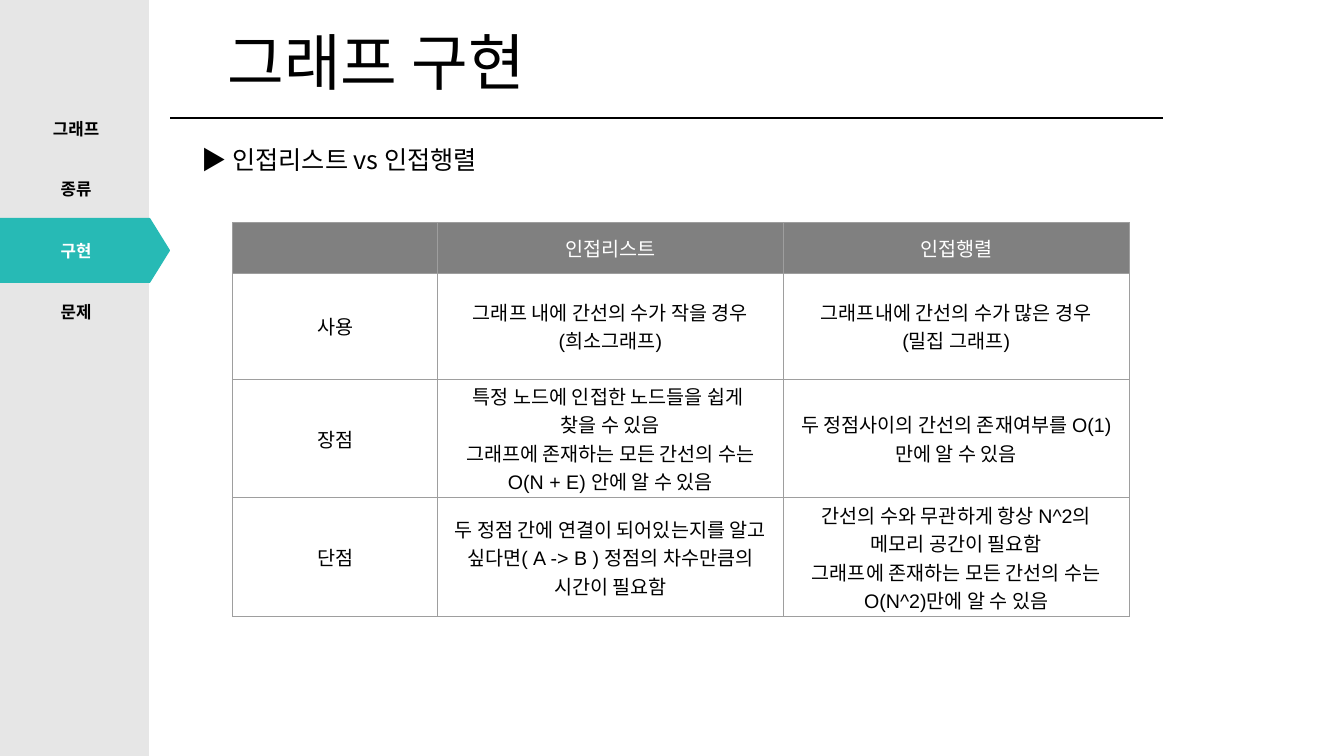
from dataclasses import dataclass

from lxml import etree
from pptx import Presentation
from pptx import util as u
from pptx.dml.color import RGBColor
from pptx.enum import shapes, text
from pptx.oxml import ns


@dataclass(frozen=True)
class Theme:
    sans: str = "Arial"
    cjk: str = "Noto Sans CJK KR"
    ink: str = "000000"
    paper: str = "FFFFFF"
    panel: str = "E6E6E6"
    accent: str = "27BAB5"
    header: str = "808080"
    border: str = "9E9E9E"
    title: float = 44
    subtitle: float = 18
    body: float = 14
    menu: float = 12
    stroke: float = 1
    cell_stroke: float = 0.75
    line_spacing: float = 0.9


@dataclass(frozen=True)
class Box:
    col: float
    row: float
    cols: float
    rows: float


@dataclass(frozen=True)
class Style:
    size: float
    color: str = Theme.ink
    font: str = Theme.sans
    bold: bool = False
    align: text.PP_ALIGN = text.PP_ALIGN.LEFT


@dataclass(frozen=True)
class MenuItem:
    label: str
    row: float
    color: str = Theme.ink


theme = Theme()
prs = Presentation()
prs.slide_width, prs.slide_height = u.Inches(13.33), u.Inches(7.5)
s = prs.slides.add_slide(prs.slide_layouts[6])


def x(cols: float) -> int:
    return round(prs.slide_width * cols / 100)


def y(rows: float) -> int:
    return round(prs.slide_height * rows / 100)


def place(box: Box) -> tuple[int, int, int, int]:
    return x(box.col), y(box.row), x(box.cols), y(box.rows)


def write(tf, content: str, style: Style) -> None:
    tf.text = content
    for p in tf.paragraphs:
        p.alignment = style.align
        for r in p.runs:
            r.font.name = style.font
            r.font.size = u.Pt(style.size)
            r.font.bold = style.bold
            r.font.color.rgb = RGBColor.from_string(style.color)


def add_text(box: Box, content: str, style: Style):
    tf = s.shapes.add_textbox(*place(box)).text_frame
    tf.word_wrap = True
    write(tf, content, style)
    return tf


def add_block(kind: shapes.MSO_SHAPE, box: Box, color: str, adjust: float) -> None:
    sp = s.shapes.add_shape(kind, *place(box))
    sp.adjustments[0] = adjust
    sp.shadow.inherit = False
    sp.fill.solid()
    sp.fill.fore_color.rgb = sp.line.color.rgb = RGBColor.from_string(color)
    sp.line.width = u.Pt(theme.stroke)


def add_rule(start: float, end: float, row: float) -> None:
    line = s.shapes.add_connector(shapes.MSO_CONNECTOR.STRAIGHT, x(start), y(row), x(end), y(row))
    line.line.color.rgb = RGBColor.from_string(theme.ink)
    line.line.width = u.Pt(theme.stroke)
    etree.SubElement(line._element.spPr, ns.qn("a:effectLst"))


def add_borders(cell) -> None:
    props = cell._tc.get_or_add_tcPr()
    for i, side in enumerate(("lnL", "lnR", "lnT", "lnB")):
        ln = etree.Element(ns.qn(f"a:{side}"), w=str(u.Pt(theme.cell_stroke)))
        fill = etree.SubElement(ln, ns.qn("a:solidFill"))
        etree.SubElement(fill, ns.qn("a:srgbClr"), val=theme.border)
        props.insert(i, ln)


def add_comparison(col: float, row: float, widths: list[float], heights: list[float],
                   rows: list[list[str]]) -> None:
    box = Box(col, row, sum(widths), sum(heights))
    table = s.shapes.add_table(len(heights), len(widths), *place(box)).table
    table.first_row = table.horz_banding = False
    for column, width in zip(table.columns, widths):
        column.width = x(width)
    for i, (line, height) in enumerate(zip(rows, heights)):
        table.rows[i].height = y(height)
        for j, content in enumerate(line):
            cell = table.cell(i, j)
            cell.vertical_anchor = text.MSO_ANCHOR.MIDDLE
            cell.margin_top = cell.margin_bottom = u.Inches(0.02)
            if i == 0:
                cell.fill.solid()
                cell.fill.fore_color.rgb = RGBColor.from_string(theme.header)
            else:
                cell.fill.background()
            color = theme.paper if i == 0 else theme.ink
            write(cell.text_frame, content,
                  Style(theme.body, color, align=text.PP_ALIGN.CENTER))
            add_borders(cell)


MENU = [
    MenuItem("그래프", 15.07),
    MenuItem("종류", 22.93),
    MenuItem("구현", 31.2, theme.paper),
    MenuItem("문제", 39.2),
]
COMPARISON = [
    ["", "인접리스트", "인접행렬"],
    ["사용", "그래프 내에 간선의 수가 작을 경우(희소그래프)",
     "그래프내에 간선의 수가 많은 경우\n(밀집 그래프)"],
    ["장점",
     "특정 노드에 인접한 노드들을 쉽게 \n찾을 수 있음\n"
     "그래프에 존재하는 모든 간선의 수는 O(N + E) 안에 알 수 있음",
     "두 정점사이의 간선의 존재여부를 O(1)만에 알 수 있음"],
    ["단점",
     "두 정점 간에 연결이 되어있는지를 알고 싶다면( A -> B ) 정점의 차수만큼의 시간이 필요함",
     "간선의 수와 무관하게 항상 N^2의 메모리 공간이 필요함\n"
     "그래프에 존재하는 모든 간선의 수는 O(N^2)만에 알 수 있음"],
]

add_block(shapes.MSO_SHAPE.PARALLELOGRAM, Box(0, 0, 11.03, 100), theme.panel, 0)
title = add_text(Box(16.2, 2.13, 33.9, 13.07), "그래프 구현", Style(theme.title))
title.vertical_anchor = text.MSO_ANCHOR.MIDDLE
title.paragraphs[0].line_spacing = theme.line_spacing
add_rule(12.68, 86.5, 15.6)
add_block(shapes.MSO_SHAPE.PENTAGON, Box(0, 28.93, 12.6, 8.4), theme.accent, 0.31)
for item in MENU:
    add_text(Box(0, item.row, 11.33, 4), item.label,
             Style(theme.menu, item.color, bold=True, align=text.PP_ALIGN.CENTER))
add_text(Box(14.25, 18.4, 69.75, 5.33), "▶ 인접리스트 vs 인접행렬",
         Style(theme.subtitle, font=theme.cjk))
add_comparison(17.33, 29.47, [15.23, 25.73, 25.73], [6.67, 14, 15.73, 15.73], COMPARISON)

prs.save("out.pptx")
